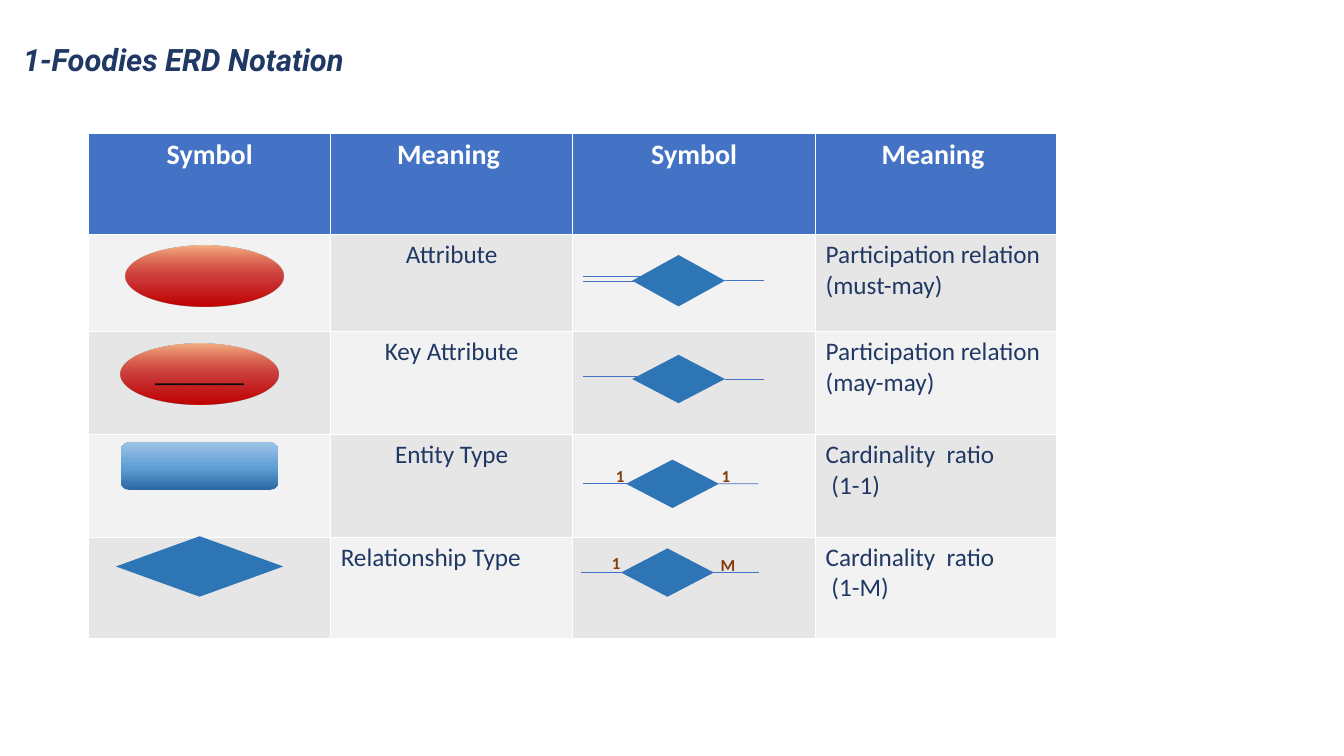
import lxml.etree
import pptx
import pptx.dml.color
import pptx.enum.shapes
import pptx.enum.text
import pptx.oxml.ns
import pptx.util

Inches = pptx.util.Inches
RGBColor = pptx.dml.color.RGBColor
SHAPES = pptx.enum.shapes.MSO_SHAPE
LEFT = pptx.enum.text.PP_ALIGN.LEFT
CENTER = pptx.enum.text.PP_ALIGN.CENTER
MIDDLE = pptx.enum.text.MSO_ANCHOR.MIDDLE
qn = pptx.oxml.ns.qn

WHITE = RGBColor(0xFF, 0xFF, 0xFF)
NAVY = RGBColor(0x20, 0x38, 0x64)
HEADER_BLUE = RGBColor(0x44, 0x72, 0xC4)
DIAMOND_BLUE = RGBColor(0x2E, 0x75, 0xB6)
LIGHT_GREY = RGBColor(0xF2, 0xF2, 0xF2)
GREY = RGBColor(0xE7, 0xE6, 0xE6)
BROWN = RGBColor(0x84, 0x3C, 0x0B)
NEAR_BLACK = RGBColor(0x0D, 0x0D, 0x0D)
RED = RGBColor(0xC0, 0x00, 0x00)
PEACH = RGBColor(0xF4, 0xB1, 0x83)
DEEP_BLUE = RGBColor(0x2A, 0x69, 0xA2)
MID_BLUE = RGBColor(0x60, 0x9E, 0xD6)
PALE_BLUE = RGBColor(0x9D, 0xC3, 0xE6)

# Gradient stops from bottom to top: position %, colour, opacity %
RED_GRADIENT = [(0, RED, 100), (48, RED, 75), (100, PEACH, 100)]
BLUE_GRADIENT = [(0, DEEP_BLUE, 100), (48, MID_BLUE, 100), (100, PALE_BLUE, 100)]

COLUMN_WIDTHS = [2.4, 2.4, 2.41, 2.39]
ROW_HEIGHTS = [1.01, 0.96, 1.02, 1.02, 1.01]
HEADERS = ["Symbol", "Meaning ", "Symbol", "Meaning "]
MEANINGS = [
    ("Attribute", CENTER, "Participation relation (must-may)"),
    ("Key Attribute", CENTER, "Participation relation (may-may)"),
    ("Entity Type", CENTER, "Cardinality  ratio\n (1-1)"),
    ("Relationship Type", LEFT, "Cardinality  ratio\n (1-M)"),
]

# Diamond left, top, height; left lines' heights, start, end; right line's start, end
RELATIONS = [
    (6.27, 2.53, 0.51, [2.74, 2.79], 5.78, 6.36, 7.19, 7.58),
    (6.27, 3.52, 0.48, [3.73], 5.78, 6.36, 7.19, 7.58),
    (6.21, 4.56, 0.48, [4.8], 5.78, 6.36, 7.13, 7.52),
    (6.16, 5.44, 0.48, [5.68], 5.76, 6.34, 6.95, 7.53),
]
DIAMOND_WIDTH = 0.92
CARDINALITIES = [("1", 7.06, 4.57), ("1", 6.01, 4.57), ("M", 7.05, 5.45), ("1", 5.97, 5.43)]


def write_text(frame, text, size, color, font="Calibri", bold=False, italic=False, align=LEFT):
    frame.word_wrap = True
    frame.text = text
    for paragraph in frame.paragraphs:
        paragraph.alignment = align
        for run in paragraph.runs:
            run.font.name = font
            run.font.size = pptx.util.Pt(size)
            run.font.bold = bold
            run.font.italic = italic
            run.font.color.rgb = color


def add_label(slide, text, left, top, width, height, **text_format):
    label = slide.shapes.add_textbox(Inches(left), Inches(top), Inches(width), Inches(height))
    write_text(label.text_frame, text, **text_format)


def add_symbol(slide, preset, left, top, width, height, fill=DIAMOND_BLUE):
    """Draw an unlined shape; fill is one colour or a list of gradient stops."""
    symbol = slide.shapes.add_shape(preset, Inches(left), Inches(top), Inches(width), Inches(height))
    symbol.shadow.inherit = False
    symbol.line.fill.background()
    if isinstance(fill, list):
        symbol.fill.gradient()
        symbol.fill.gradient_angle = 90
        stops = symbol.element.spPr.find(".//" + qn("a:gsLst"))
        for default_stop in list(stops):
            stops.remove(default_stop)
        for position, color, opacity in fill:
            stop = lxml.etree.SubElement(stops, qn("a:gs"), pos=str(position * 1000))
            shade = lxml.etree.SubElement(stop, qn("a:srgbClr"), val=str(color))
            if opacity < 100:
                lxml.etree.SubElement(shade, qn("a:alpha"), val=str(opacity * 1000))
    else:
        symbol.fill.solid()
        symbol.fill.fore_color.rgb = fill
    return symbol


def add_line(slide, start, end, y):
    line = slide.shapes.add_connector(
        pptx.enum.shapes.MSO_CONNECTOR.STRAIGHT, Inches(start), Inches(y), Inches(end), Inches(y))
    line.line.color.rgb = HEADER_BLUE
    line.line.width = pptx.util.Pt(0.5)
    lxml.etree.SubElement(line.element.spPr, qn("a:effectLst"))
    return line


def fill_cell(cell, text, fill, **text_format):
    cell.fill.solid()
    cell.fill.fore_color.rgb = fill
    if text:
        write_text(cell.text_frame, text, **text_format)


def add_notation_table(slide):
    table = slide.shapes.add_table(
        len(ROW_HEIGHTS), len(COLUMN_WIDTHS), Inches(0.88), Inches(1.32),
        Inches(sum(COLUMN_WIDTHS)), Inches(sum(ROW_HEIGHTS))).table
    for column, width in zip(table.columns, COLUMN_WIDTHS):
        column.width = Inches(width)
    for row, height in zip(table.rows, ROW_HEIGHTS):
        row.height = Inches(height)
    for column, header in enumerate(HEADERS):
        fill_cell(table.cell(0, column), header, HEADER_BLUE,
                  size=20, color=WHITE, bold=True, align=CENTER)
    # Greys alternate like a chessboard
    for row, (meaning, align, relation_meaning) in enumerate(MEANINGS, start=1):
        for column, text in enumerate(["", meaning, "", relation_meaning]):
            fill = GREY if (row + column) % 2 == 0 else LIGHT_GREY
            fill_cell(table.cell(row, column), text, fill, size=18, color=NAVY,
                      align=align if column == 1 else LEFT)


def add_relation(slide, left, top, height, left_ys, left_start, left_end, right_start, right_end):
    diamond = add_symbol(slide, SHAPES.DIAMOND, left, top, DIAMOND_WIDTH, height)
    for y in left_ys:
        add_line(slide, left_start, left_end, y)
    right_line = add_line(slide, right_start, right_end, top + height / 2)
    if abs(right_start - left - DIAMOND_WIDTH) < 0.01:
        right_line.begin_connect(diamond, 3)


def main():
    presentation = pptx.Presentation()
    presentation.slide_width = Inches(13.33)
    presentation.slide_height = Inches(7.5)
    slide = presentation.slides.add_slide(presentation.slide_layouts[6])

    # Title and table
    add_label(slide, "1-Foodies ERD Notation", 0.13, 0.36, 4.39, 0.47,
              size=22, color=NAVY, font="Roboto", bold=True, italic=True)
    add_notation_table(slide)

    # Basic symbols
    add_symbol(slide, SHAPES.OVAL, 1.25, 2.44, 1.56, 0.6, RED_GRADIENT)
    key_attribute = add_symbol(slide, SHAPES.OVAL, 1.2, 3.41, 1.56, 0.6, RED_GRADIENT)
    key_attribute.text_frame.vertical_anchor = MIDDLE
    write_text(key_attribute.text_frame, "________", size=16, color=NEAR_BLACK,
               bold=True, align=CENTER)
    add_symbol(slide, SHAPES.ROUNDED_RECTANGLE, 1.2, 4.39, 1.56, 0.47, BLUE_GRADIENT)
    add_symbol(slide, SHAPES.DIAMOND, 1.15, 5.32, 1.66, 0.6)

    # Relation symbols and their cardinalities
    for relation in RELATIONS:
        add_relation(slide, *relation)
    for cardinality, left, top in CARDINALITIES:
        add_label(slide, cardinality, left, top, 0.66, 0.3, size=12, color=BROWN, bold=True)

    presentation.save("out.pptx")


if __name__ == "__main__":
    main()
